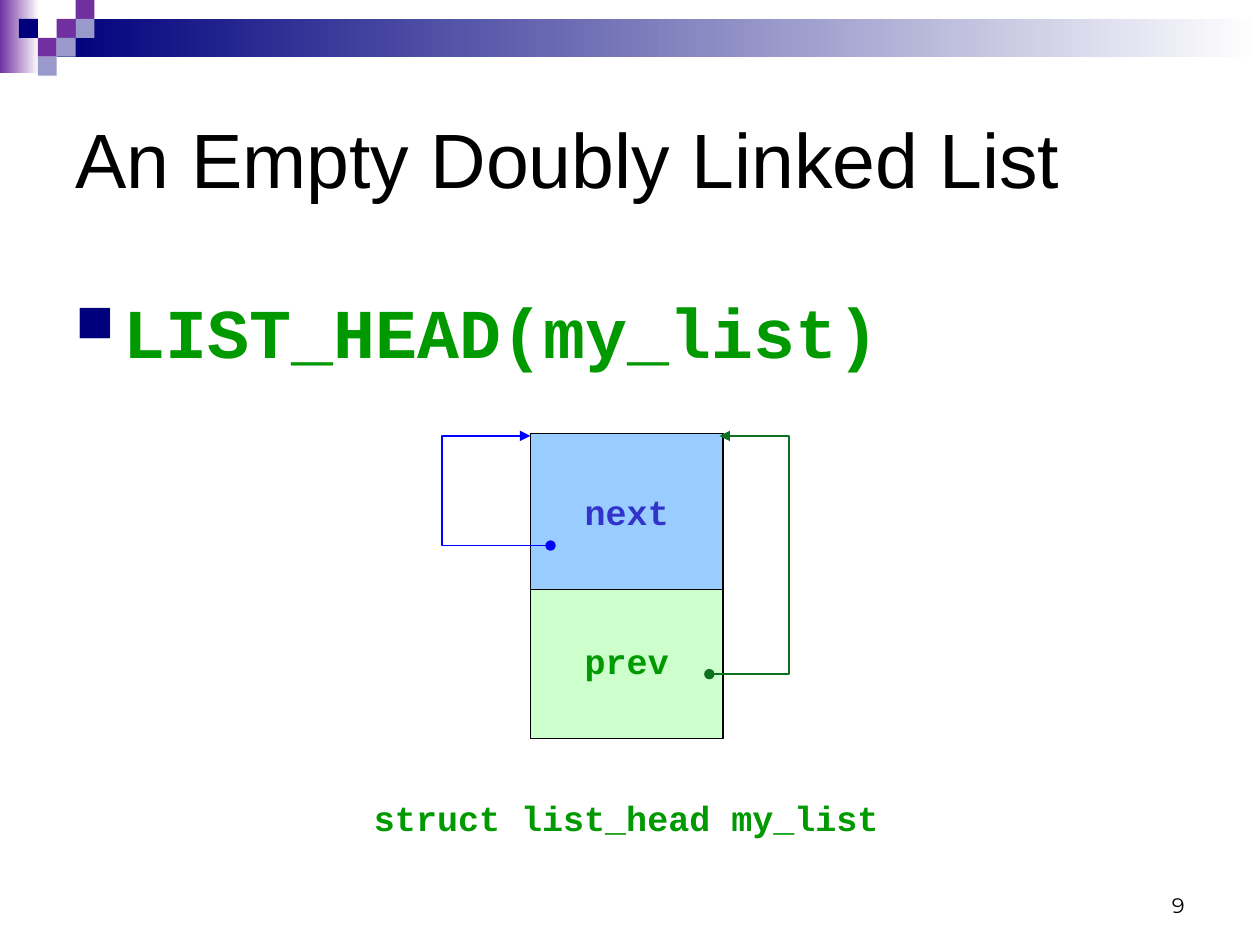
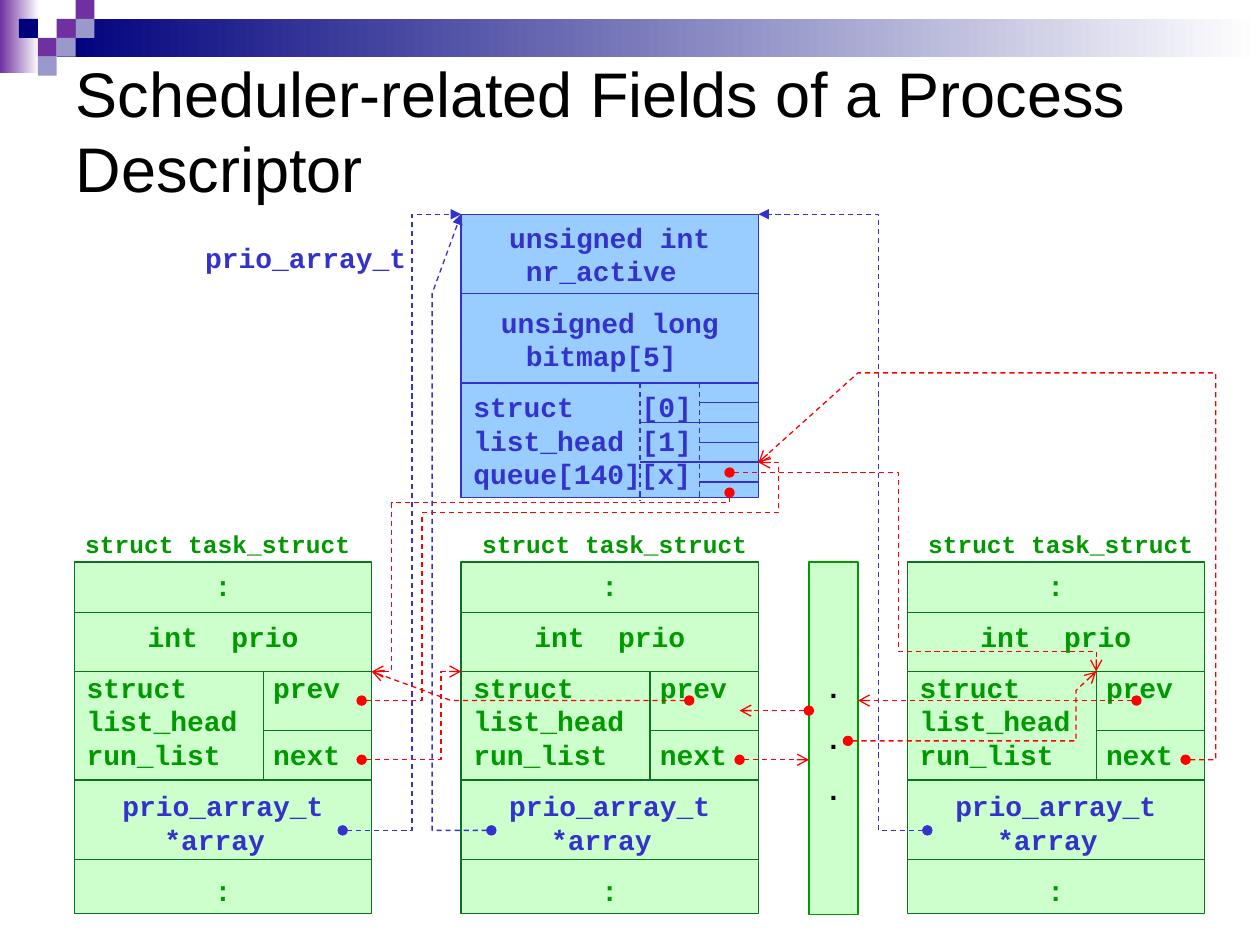
"""Build two slides on linked lists and the scheduler fields of a process descriptor."""
import pptx
import pptx.util
import pptx.dml.color
import pptx.enum.dml
import pptx.enum.shapes
import pptx.enum.text
import pptx.oxml.ns
import lxml.etree

COLOURS = {
    "black": "000000", "white": "FFFFFF", "navy": "00007D", "purple": "7030A0",
    "lilac": "9999CC", "green": "009900", "forest": "0C721F", "mint": "CCFFCC",
    "sky": "99CCFF", "indigo": "3333CC", "blue": "0000FF", "red": "FF0000",
}
PAINT = {name: pptx.dml.color.RGBColor.from_string(code) for name, code in COLOURS.items()}
ALIGN = pptx.enum.text.PP_ALIGN
ANCHOR = pptx.enum.text.MSO_ANCHOR
CODE = {"name": "Courier New", "bold": True}
PLAIN = {"name": "Arial", "bold": False}
qn = pptx.oxml.ns.qn

deck = pptx.Presentation()
deck.slide_width = pptx.util.Inches(10)
deck.slide_height = pptx.util.Inches(7.5)
UNIT = deck.slide_width / 100


def add_box(page, place, paras=(), fill=None, line=None, size=16, font=CODE,
            anchor=ANCHOR.TOP, before=10, tab=None, box=None):
    """Place a box on the grid; each para is (text, colour, alignment)."""
    left, top, width, height = [round(value * UNIT) for value in place]
    if box is None and fill is None:
        box = page.shapes.add_textbox(left, top, width, height)
    elif box is None:
        box = page.shapes.add_shape(pptx.enum.shapes.MSO_SHAPE.RECTANGLE, left, top, width, height)
        box.shadow.inherit = False
        if isinstance(fill, tuple):
            box.fill.gradient()
            box.fill.gradient_angle = 0
            for stop, colour in zip(box.fill.gradient_stops, fill):
                stop.color.rgb = PAINT[colour]
        else:
            box.fill.solid()
            box.fill.fore_color.rgb = PAINT[fill]
        if line:
            box.line.color.rgb = PAINT[line]
            box.line.width = pptx.util.Pt(0.75)
        else:
            box.line.fill.background()
    for name, value in {"left": left, "top": top, "width": width, "height": height}.items():
        setattr(box, name, value)
    frame = box.text_frame
    frame_format = {"word_wrap": True, "auto_size": pptx.enum.text.MSO_AUTO_SIZE.NONE,
                    "vertical_anchor": anchor}
    for name, value in frame_format.items():
        setattr(frame, name, value)
    for index, (text, colour, align) in enumerate(paras):
        para = frame.add_paragraph() if index else frame.paragraphs[0]
        para_format = {"text": text, "alignment": align, "space_before": pptx.util.Pt(before),
                       "line_spacing": pptx.util.Pt(size * 1.2)}
        for name, value in para_format.items():
            setattr(para, name, value)
        for span in para.runs:
            for name, value in {**font, "size": pptx.util.Pt(size)}.items():
                setattr(span.font, name, value)
            span.font.color.rgb = PAINT[colour]
        if "\t" in text:
            stops = lxml.etree.SubElement(para._p.get_or_add_pPr(), qn("a:tabLst"))
            lxml.etree.SubElement(stops, qn("a:tab"), pos=str(round(tab * UNIT)), algn="l")
    return box


def add_route(page, points, colour, weight=0.75, dashed=False, tail=None):
    """Draw a straight line or a bent path, with a dot and an arrowhead if tail is given."""
    spots = [(round(x * UNIT), round(y * UNIT)) for x, y in points]
    if len(spots) == 2:
        straight = pptx.enum.shapes.MSO_CONNECTOR.STRAIGHT
        route = page.shapes.add_connector(straight, *spots[0], *spots[1])
    else:
        builder = page.shapes.build_freeform(*spots[0])
        builder.add_line_segments(spots[1:], close=False)
        route = builder.convert_to_shape()
        route.fill.background()
    route.line.color.rgb = PAINT[colour]
    route.line.width = pptx.util.Pt(weight)
    if dashed:
        route.line.dash_style = pptx.enum.dml.MSO_LINE.DASH
    properties = route.element.spPr
    if tail:
        outline = properties.find(qn("a:ln"))
        lxml.etree.SubElement(outline, qn("a:headEnd"), type="oval")
        lxml.etree.SubElement(outline, qn("a:tailEnd"), type=tail)
    lxml.etree.SubElement(properties, qn("a:effectLst"))


STEP = 1.5
SQUARES = [(3, 1, "purple"), (4, 0, "purple"), (4, 1, "lilac"), (2, 2, "purple"),
           (1, 1, "navy"), (3, 2, "lilac"), (2, 3, "lilac")]
TITLES = [("An Empty Doubly Linked List", 44, 5),
          ("Scheduler-related Fields of a Process Descriptor", 36, 2.8)]

pages = []
for heading, heading_size, heading_top in TITLES:
    page = deck.slides.add_slide(deck.slide_layouts[5])
    add_box(page, (0, 0, 3.1, 5.8), fill=("purple", "white"))
    add_box(page, (4.5, STEP, 95.5, 2 * STEP), fill=("navy", "white"))
    for column, row, colour in SQUARES:
        add_box(page, (column * STEP, row * STEP, STEP, STEP), fill=colour)
    add_box(page, (5, heading_top, 90, 15), [(heading, "black", ALIGN.LEFT)], size=heading_size,
            font=PLAIN, anchor=ANCHOR.MIDDLE, before=0, box=page.shapes.title)
    pages.append(page)
list_page, scheduler_page = pages

add_box(list_page, (71.7, 68.3, 23.3, 5), [("9", "black", ALIGN.RIGHT)], size=12,
        font={"name": "Montserrat", "bold": False}, anchor=ANCHOR.BOTTOM, before=0)
macro = add_box(list_page, (5, 22.4, 90, 9), [("LIST_HEAD(my_list)", "green", ALIGN.LEFT)], size=40)
bullet = macro.text_frame.paragraphs[0]._p.get_or_add_pPr()
indent = round(3.8 * UNIT)
bullet.set("marL", str(indent))
bullet.set("indent", str(-indent))
bullet_colour = lxml.etree.SubElement(bullet, qn("a:buClr"))
lxml.etree.SubElement(bullet_colour, qn("a:srgbClr"), val=COLOURS["navy"])
lxml.etree.SubElement(bullet, qn("a:buSzPct"), val="75000")
lxml.etree.SubElement(bullet, qn("a:buChar"), char="■")

for field, top, fill, colour in [("prev", 46.2, "mint", "green"), ("next", 34.4, "sky", "indigo")]:
    add_box(list_page, (42.1, top, 15.3, 12.4), [(field, colour, ALIGN.CENTER)], fill=fill,
            line="black", size=20, anchor=ANCHOR.MIDDLE)
add_box(list_page, (28.7, 62.7, 43.3, 4.4), [("struct list_head my_list", "green", ALIGN.LEFT)], size=20)
add_route(list_page, [(43.7, 43.3), (35.1, 43.3), (35.1, 34.6), (42.1, 34.6)], "blue", 1,
          tail="triangle")
add_route(list_page, [(56.3, 53.5), (62.6, 53.5), (62.6, 34.6), (57.1, 34.6)], "forest", 1,
          tail="triangle")

WIDE = 23.6
TASK_TOP = 44.6
TASK_TEXT = [
    (":", "green", ALIGN.CENTER),
    ("int  prio", "green", ALIGN.CENTER),
    ("struct\tprev\vlist_head\vrun_list\tnext", "green", ALIGN.LEFT),
    ("prio_array_t *array ", "indigo", ALIGN.CENTER),
    (":", "green", ALIGN.CENTER),
]
for left, label_left in [(5.9, 5.1), (36.6, 36.6), (72, 72)]:
    right, split = left + WIDE, left + 15
    add_box(scheduler_page, (left, TASK_TOP, WIDE, 27.9), TASK_TEXT, fill="mint", line="forest", tab=14.8)
    for row in (48.6, 53.3, 61.9, 68.2):
        add_route(scheduler_page, [(left, row), (right, row)], "forest")
    add_route(scheduler_page, [(split, 53.3), (split, 61.9)], "forest")
    add_route(scheduler_page, [(split, 58), (right, 58)], "forest")
    add_box(scheduler_page, (label_left, 41.5, 24.4, 3.4),
            [("struct task_struct", "green", ALIGN.CENTER)], size=14)

ARRAY_LEFT, ARRAY_TOP, QUEUE_TOP = 36.6, 17, 30.4
ARRAY_RIGHT = ARRAY_LEFT + WIDE
ARRAY_TEXT = [
    ("unsigned int nr_active ", "indigo", ALIGN.CENTER),
    ("unsigned long bitmap[5] ", "indigo", ALIGN.CENTER),
    ("struct\t[0]\vlist_head\t[1]\vqueue[140][x]", "indigo", ALIGN.LEFT),
]
add_box(scheduler_page, (ARRAY_LEFT, ARRAY_TOP, WIDE, 22.5), ARRAY_TEXT, fill="sky", line="indigo", tab=13.35)
add_box(scheduler_page, (15.3, 18.6, 18.1, 3.7), [("prio_array_t", "indigo", ALIGN.LEFT)])
for row in (23.3, QUEUE_TOP):
    add_route(scheduler_page, [(ARRAY_LEFT, row), (ARRAY_RIGHT, row)], "indigo")
for column in (50.8, 55.5):
    add_route(scheduler_page, [(column, QUEUE_TOP), (column, 39.8)], "indigo", dashed=True)
for index in range(1, 6):
    row = QUEUE_TOP + index * 1.57
    column = 55.5 if index % 2 else 50.8
    add_route(scheduler_page, [(column, row), (ARRAY_RIGHT, row)], "indigo")

add_box(scheduler_page, (64.2, TASK_TOP, 3.9, 28), [(".", "black", ALIGN.CENTER)] * 3,
        fill="mint", line="green", anchor=ANCHOR.MIDDLE)

ARRAY_ROUTES = [
    [(27.2, 65.9), (32.7, 65.9), (32.7, ARRAY_TOP), (ARRAY_LEFT, ARRAY_TOP)],
    [(39, 65.9), (34.3, 65.9), (34.3, 23.3), (ARRAY_LEFT, ARRAY_TOP)],
    [(73.6, 65.9), (69.7, 65.9), (69.7, ARRAY_TOP), (ARRAY_RIGHT, ARRAY_TOP)],
]
LIST_ROUTES = [
    [(57.9, 39.1), (57.9, 39.9), (31.1, 39.9), (31.1, 53.3), (29.5, 53.3)],
    [(28.7, 60.3), (35, 60.3), (35, 53.3), (36.6, 53.3)],
    [(28.7, 55.6), (33.5, 55.6), (33.5, 40.7), (61.8, 40.7), (61.8, 36.7), (ARRAY_RIGHT, 36.7)],
    [(57.9, 37.5), (71.3, 37.5), (71.3, 51.7), (87, 51.7), (87, 53.3)],
    [(54.7, 55.6), (35.8, 55.6), (29.5, 53.3)],
    [(58.7, 60.3), (64.2, 60.3)],
    [(64.2, 56.4), (58.7, 56.4)],
    [(90.2, 55.6), (68.1, 55.6)],
    [(67.3, 58.8), (85.4, 58.8), (85.4, 54.8), (87, 53.3)],
    [(94.1, 60.3), (96.5, 60.3), (96.5, 29.6), (68.1, 29.6), (ARRAY_RIGHT, 36.7)],
]
for routes, colour, tail in [(ARRAY_ROUTES, "indigo", "triangle"), (LIST_ROUTES, "red", "arrow")]:
    for points in routes:
        add_route(scheduler_page, points, colour, dashed=True, tail=tail)

deck.save("out.pptx")
